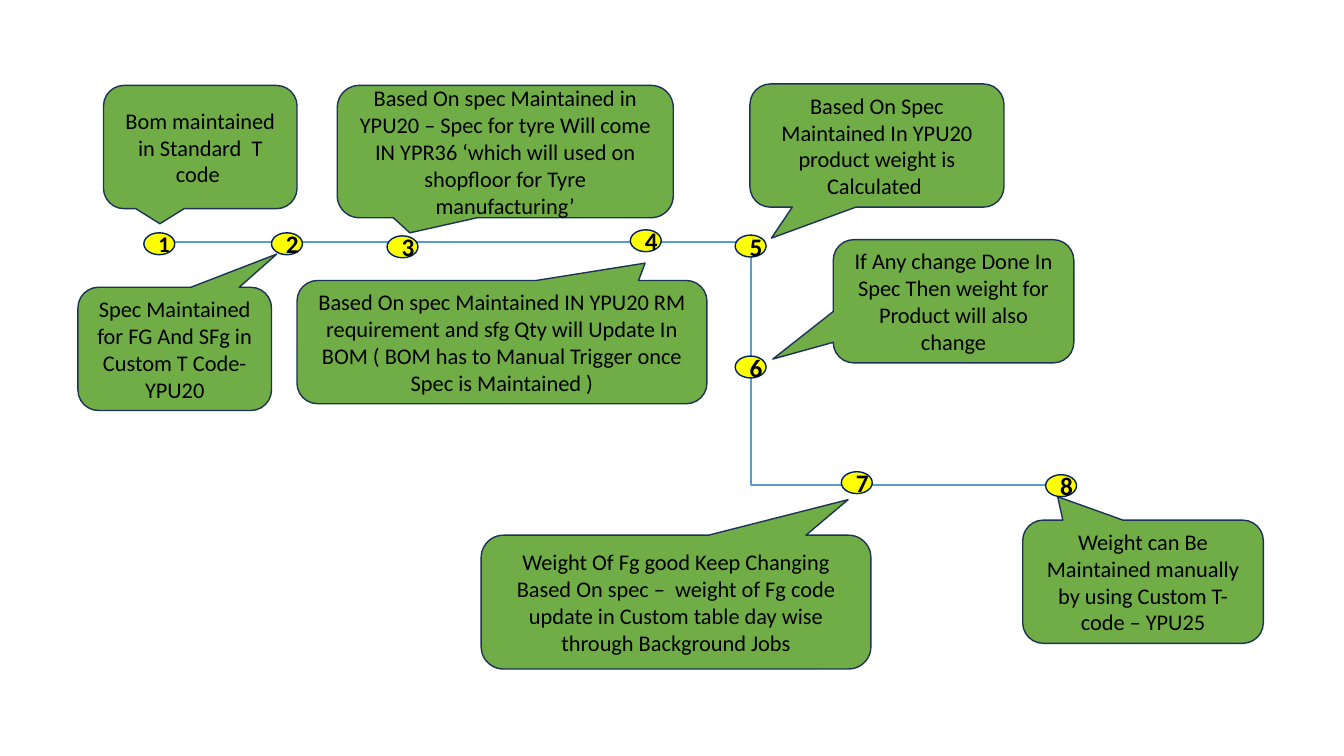
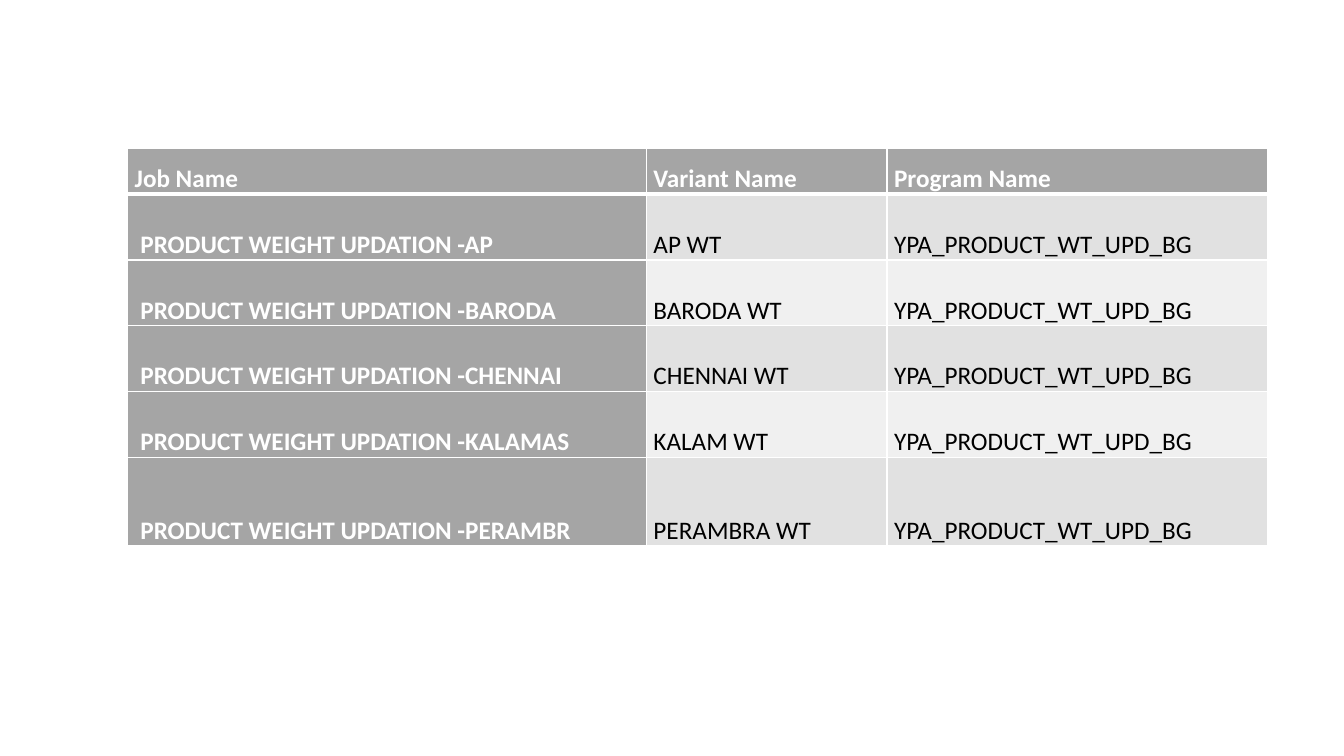
from dataclasses import dataclass

from lxml import etree
from pptx import Presentation
from pptx.dml.color import RGBColor
from pptx.enum.shapes import MSO_CONNECTOR, MSO_SHAPE
from pptx.enum.text import MSO_ANCHOR, PP_ALIGN
from pptx.oxml.ns import qn
from pptx.util import Inches, Pt

ELBOW = MSO_CONNECTOR.ELBOW
ELLIPSE = MSO_SHAPE.OVAL
CALLOUT = MSO_SHAPE.ROUNDED_RECTANGULAR_CALLOUT
MIDDLE, BOTTOM = MSO_ANCHOR.MIDDLE, MSO_ANCHOR.BOTTOM
CENTER, LEFT = PP_ALIGN.CENTER, PP_ALIGN.LEFT
BLANK_LAYOUT = 6
WIDTH, HEIGHT = Inches(13.333), Inches(7.5)


@dataclass(frozen=True)
class Theme:
    font: str = "Calibri"
    black: str = "000000"
    white: str = "FFFFFF"
    route: str = "5B9BD5"
    node: str = "FFFF00"
    node_edge: str = "002060"
    callout: str = "70AD47"
    callout_edge: str = "1E3256"
    header: str = "A5A5A5"
    bands: tuple = ("E1E1E1", "F0F0F0")
    body_size: int = 16
    large_size: int = 18
    outline: float = 1
    route_width: float = 1.5
    header_rule: float = 3


THEME = Theme()

# Every position and length below is a percentage of the slide's width or height.
ROUTE = (11.9, 32, 79.5, 64.8)
ROUTE_BENDS = (0.651, 0.979)
NODE_SIZE = (2.3, 2.9)
NODES = [
    (10.7, 30.8), (20.2, 30.8), (28.8, 31.2), (46.9, 30.4),
    (54.7, 31.1), (54.7, 47.1), (62.6, 62.4), (77.8, 62.8),
]
CALLOUTS = [
    ((7.7, 11.3, 14.4, 16.3), (11.9, 29.6), "Bom maintained in Standard  T code "),
    ((5.8, 38, 14.4, 16.3), (20.6, 33.6),
     "Spec Maintained for FG And SFg in Custom T Code- YPU20"),
    ((25.1, 11.3, 25, 17.5), (30.5, 30.8),
     "Based On spec Maintained in YPU20 – Spec for tyre Will come IN YPR36 "
     "‘which will used on shopfloor for Tyre manufacturing’"),
    ((22.1, 37.1, 30.5, 16.3), (48, 34.8),
     "Based On spec Maintained IN YPU20 RM requirement and sfg Qty will Update "
     "In BOM ( BOM has to Manual Trigger once Spec is Maintained )"),
    ((55.8, 11.1, 18.9, 16.3), (57.4, 31.5),
     "Based On Spec Maintained In YPU20 product weight is Calculated "),
    ((62, 31.7, 17.9, 16.3), (57.5, 47.5),
     "If Any change Done In Spec Then weight for Product will also change"),
    ((35.8, 70.8, 29, 17.7), (63.1, 66.1),
     "Weight Of Fg good Keep Changing Based On spec –  weight of Fg code update "
     "in Custom table day wise through Background Jobs"),
    ((76.1, 68.8, 17.9, 16.3), (78.7, 65.7),
     "Weight can Be Maintained manually by using Custom T-code – YPU25"),
]
TABLE_ORIGIN = (9.5, 19.6)
COLUMN_WIDTHS = (38.6, 17.9, 28.3)
ROW_HEIGHTS = (6.1, 8.7, 8.7, 8.7, 8.7, 11.7)
HEADINGS = ("Job Name", "Variant Name", "Program Name")
JOBS = [("AP", "AP"), ("BARODA", "BARODA"), ("CHENNAI", "CHENNAI"),
        ("KALAMAS", "KALAM"), ("PERAMBR", "PERAMBRA")]
PROGRAM = "YPA_PRODUCT_WT_UPD_BG"


def across(share):
    return round(WIDTH * share / 100)


def down(share):
    return round(HEIGHT * share / 100)


def rgb(color):
    return RGBColor.from_string(color)


def write(frame, text, size=THEME.body_size, color=THEME.black, bold=False,
          align=CENTER, line_spacing=None, space_after=None):
    para = frame.paragraphs[0]
    para.alignment = align
    para.line_spacing = line_spacing
    para.space_after = None if space_after is None else Pt(space_after)
    span = para.add_run()
    span.text = text
    span.font.name = THEME.font
    span.font.size = Pt(size)
    span.font.bold = bold
    span.font.color.rgb = rgb(color)


def add_box(page, kind, area, fill, edge):
    left, top, width, height = area
    box = page.shapes.add_shape(kind, across(left), down(top), across(width), down(height))
    box.shadow.inherit = False
    box.fill.solid()
    box.fill.fore_color.rgb = rgb(fill)
    box.line.color.rgb = rgb(edge)
    box.line.width = Pt(THEME.outline)
    box.text_frame.word_wrap = True
    box.text_frame.vertical_anchor = MIDDLE
    return box


def add_node(page, number, origin):
    box = add_box(page, ELLIPSE, origin + NODE_SIZE, THEME.node, THEME.node_edge)
    size = THEME.body_size if number == 1 else THEME.large_size
    write(box.text_frame, str(number), size=size, bold=True)


def add_callout(page, area, tip, text):
    box = add_box(page, CALLOUT, area, THEME.callout, THEME.callout_edge)
    left, top, width, height = area
    box.adjustments[0] = (tip[0] - left) / width - 0.5
    box.adjustments[1] = (tip[1] - top) / height - 0.5
    write(box.text_frame, text)


def add_route(page):
    left, top, right, bottom = ROUTE
    route = page.shapes.add_connector(ELBOW, across(left), down(top), across(right), down(bottom))
    route.line.color.rgb = rgb(THEME.route)
    route.line.width = Pt(THEME.route_width)
    properties = route._element.spPr
    etree.SubElement(properties, qn("a:effectLst"))
    geometry = properties.find(qn("a:prstGeom"))
    geometry.set("prst", "bentConnector4")
    guides = geometry.find(qn("a:avLst"))
    for index, bend in enumerate(ROUTE_BENDS, start=1):
        etree.SubElement(guides, qn("a:gd"), name=f"adj{index}", fmla=f"val {round(bend * 100000)}")


def set_borders(cell, top, bottom):
    properties = cell._tc.get_or_add_tcPr()
    sides = {"lnL": THEME.outline, "lnR": THEME.outline, "lnT": top, "lnB": bottom}
    for index, (side, width) in enumerate(sides.items()):
        border = etree.Element(qn(f"a:{side}"), w=str(Pt(width)))
        fill = etree.SubElement(border, qn("a:solidFill"))
        etree.SubElement(fill, qn("a:srgbClr"), val=THEME.white)
        properties.insert(index, border)


def format_cell(cell, text, row, column):
    emphasis = row == 0 or column == 0
    cell.fill.solid()
    cell.fill.fore_color.rgb = rgb(THEME.header if emphasis else THEME.bands[(row - 1) % 2])
    cell.vertical_anchor = BOTTOM
    cell.margin_left = cell.margin_right = Inches(0.07)
    cell.margin_top = cell.margin_bottom = 0
    write(cell.text_frame, text, size=THEME.large_size, bold=emphasis, align=LEFT,
          color=THEME.white if emphasis else THEME.black, line_spacing=1.07, space_after=8)
    set_borders(cell,
                top=THEME.header_rule if row == 1 else THEME.outline,
                bottom=THEME.header_rule if row == 0 else THEME.outline)


def add_job_table(page):
    rows = [HEADINGS] + [
        (f" PRODUCT WEIGHT UPDATION -{job}", f"{variant} WT", PROGRAM) for job, variant in JOBS
    ]
    left, top = TABLE_ORIGIN
    table = page.shapes.add_table(
        len(rows), len(HEADINGS), across(left), down(top),
        across(sum(COLUMN_WIDTHS)), down(sum(ROW_HEIGHTS))).table
    table.first_col = True
    for column, width in zip(table.columns, COLUMN_WIDTHS):
        column.width = across(width)
    for row, height in zip(table.rows, ROW_HEIGHTS):
        row.height = down(height)
    for row, texts in enumerate(rows):
        for column, text in enumerate(texts):
            format_cell(table.cell(row, column), text, row, column)


def add_page(deck):
    return deck.slides.add_slide(deck.slide_layouts[BLANK_LAYOUT])


def main():
    deck = Presentation()
    deck.slide_width, deck.slide_height = WIDTH, HEIGHT
    flow = add_page(deck)
    add_route(flow)
    for area, tip, text in CALLOUTS:
        add_callout(flow, area, tip, text)
    for number, origin in enumerate(NODES, start=1):
        add_node(flow, number, origin)
    add_job_table(add_page(deck))
    deck.save("out.pptx")


if __name__ == "__main__":
    main()
